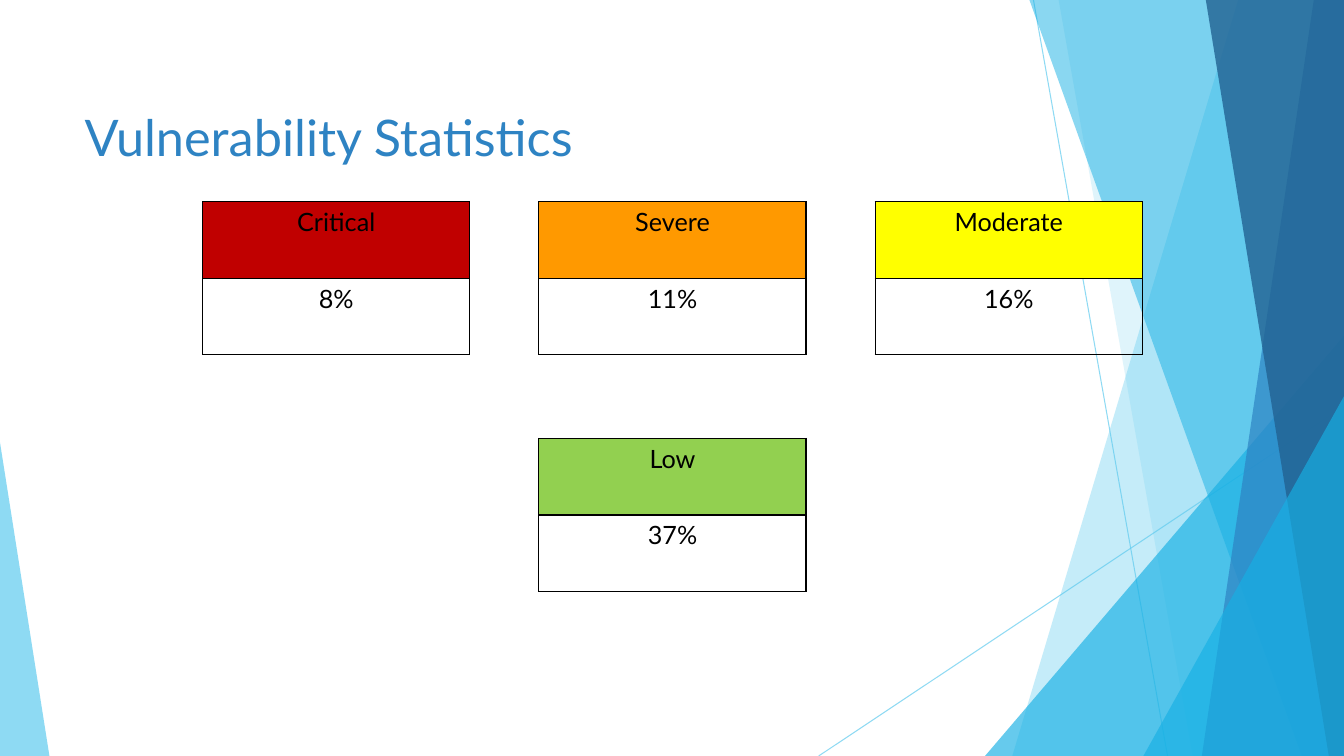
from pptx import Presentation
from pptx.dml.color import RGBColor as Rgb
from pptx.enum.shapes import MSO_CONNECTOR as Link, MSO_SHAPE as Shape
from pptx.enum.text import MSO_ANCHOR as Anchor, PP_ALIGN as Align
from pptx.oxml import parse_xml
from pptx.oxml.ns import nsdecls, qn
from pptx.util import Inches, Pt

WIDE, HIGH = 13.33, 7.5
TITLE = "Vulnerability Statistics"
CARDS = [
    ("Critical", "8%", "C00000", 0, 0),
    ("Severe", "11%", "FF9900", 1, 0),
    ("Moderate", "16%", "FFFF00", 2, 0),
    ("Low", "37%", "92D050", 1, 1),
]
THEME = {
    "font": "Lato", "title": 36, "body": 18, "rule": 0.75, "edge": 1,
    "ink": "000000", "sky": "5FCBEF", "cyan": "17B0E4",
    "blue": "2E83C3", "navy": "226292",
}
RAYS = [(10.25, 0, 11.58, HIGH), (WIDE, 4.03, 8.12, HIGH)]
DECOR = [
    ("veil", 12.28, 10.04, "sky", 36),
    ("veil", 10.5, 11.83, "sky", 20),
    ("peak", (9.77, 3.33, 3.56, 4.17), 1, "cyan", 66),
    ("veil", 10.21, 12.91, "cyan", 50),
    ("veil", 13.03, 11.92, "blue", 70),
    ("veil", 11.96, 13.18, "navy", 80),
    ("peak", (11.34, 3.93, 1.99, 3.57), 1, "cyan", 66),
    ("peak", (0, 4.39, 0.49, 3.11), 0, "sky", 70),
]
LEFT, TOP, STEP_X, STEP_Y = 2.01, 2, 3.335, 2.35
CARD_W, ROW_H = 2.65, 0.76


def fade(item, alpha):
    for tint in item._element.iter(qn("a:srgbClr")):
        tint.append(parse_xml(f'<a:alpha {nsdecls("a")} val="{alpha * 1000}"/>'))


def write(para, text, size, color):
    run = para.add_run()
    run.text = text
    run.font.name = THEME["font"]
    run.font.size = Pt(size)
    run.font.color.rgb = Rgb.from_string(color)


def add_ray(slide, ends):
    ray = slide.shapes.add_connector(Link.STRAIGHT, *map(Inches, ends))
    ray.line.width = Pt(THEME["rule"])
    ray.line.color.rgb = Rgb.from_string(THEME["sky"])
    fade(ray, 70)
    ray._element.spPr.append(parse_xml(f'<a:effectLst {nsdecls("a")}/>'))


def add_veil(slide, head, foot):
    spots = [(head, 0), (WIDE, 0), (WIDE, HIGH), (foot, HIGH)]
    spots = [(Inches(x), Inches(y)) for x, y in spots]
    pen = slide.shapes.build_freeform(*spots[0])
    pen.add_line_segments(spots[1:], close=True)
    return pen.convert_to_shape()


def add_peak(slide, box, tip):
    peak = slide.shapes.add_shape(Shape.ISOSCELES_TRIANGLE, *map(Inches, box))
    peak.adjustments[0] = tip
    return peak


def add_decor(slide):
    for ends in RAYS:
        add_ray(slide, ends)
    make = {"veil": add_veil, "peak": add_peak}
    for kind, first, second, color, alpha in DECOR:
        item = make[kind](slide, first, second)
        item.shadow.inherit = False
        item.fill.solid()
        item.fill.fore_color.rgb = Rgb.from_string(THEME[color])
        item.line.fill.background()
        fade(item, alpha)


def add_title(slide):
    box = slide.shapes.add_textbox(*map(Inches, (0.74, 0.67, 9.4, 1.44)))
    frame = box.text_frame
    frame.word_wrap = True
    frame.vertical_anchor = Anchor.MIDDLE
    para = frame.paragraphs[0]
    para.line_spacing = 0.9
    write(para, TITLE, THEME["title"], THEME["blue"])


def add_edges(cell):
    props = cell._tc.get_or_add_tcPr()
    for side in "LRTB":
        props.append(parse_xml(
            f'<a:ln{side} {nsdecls("a")} w="{Pt(THEME["edge"])}"><a:solidFill>'
            f'<a:srgbClr val="{THEME["ink"]}"/></a:solidFill></a:ln{side}>'))


def add_card(slide, label, value, color, col, row):
    box = (LEFT + col * STEP_X, TOP + row * STEP_Y, CARD_W, 2 * ROW_H)
    table = slide.shapes.add_table(2, 1, *map(Inches, box)).table
    table.first_row = table.horz_banding = False
    for cell, text in zip(table.iter_cells(), (label, value)):
        add_edges(cell)
        if text == label:
            cell.fill.solid()
            cell.fill.fore_color.rgb = Rgb.from_string(color)
        else:
            cell.fill.background()
        para = cell.text_frame.paragraphs[0]
        para.alignment = Align.CENTER
        write(para, text, THEME["body"], THEME["ink"])


def main():
    deck = Presentation()
    deck.slide_width, deck.slide_height = Inches(WIDE), Inches(HIGH)
    slide = deck.slides.add_slide(deck.slide_layouts[6])
    add_decor(slide)
    add_title(slide)
    for card in CARDS:
        add_card(slide, *card)
    deck.save("out.pptx")


if __name__ == "__main__":
    main()
